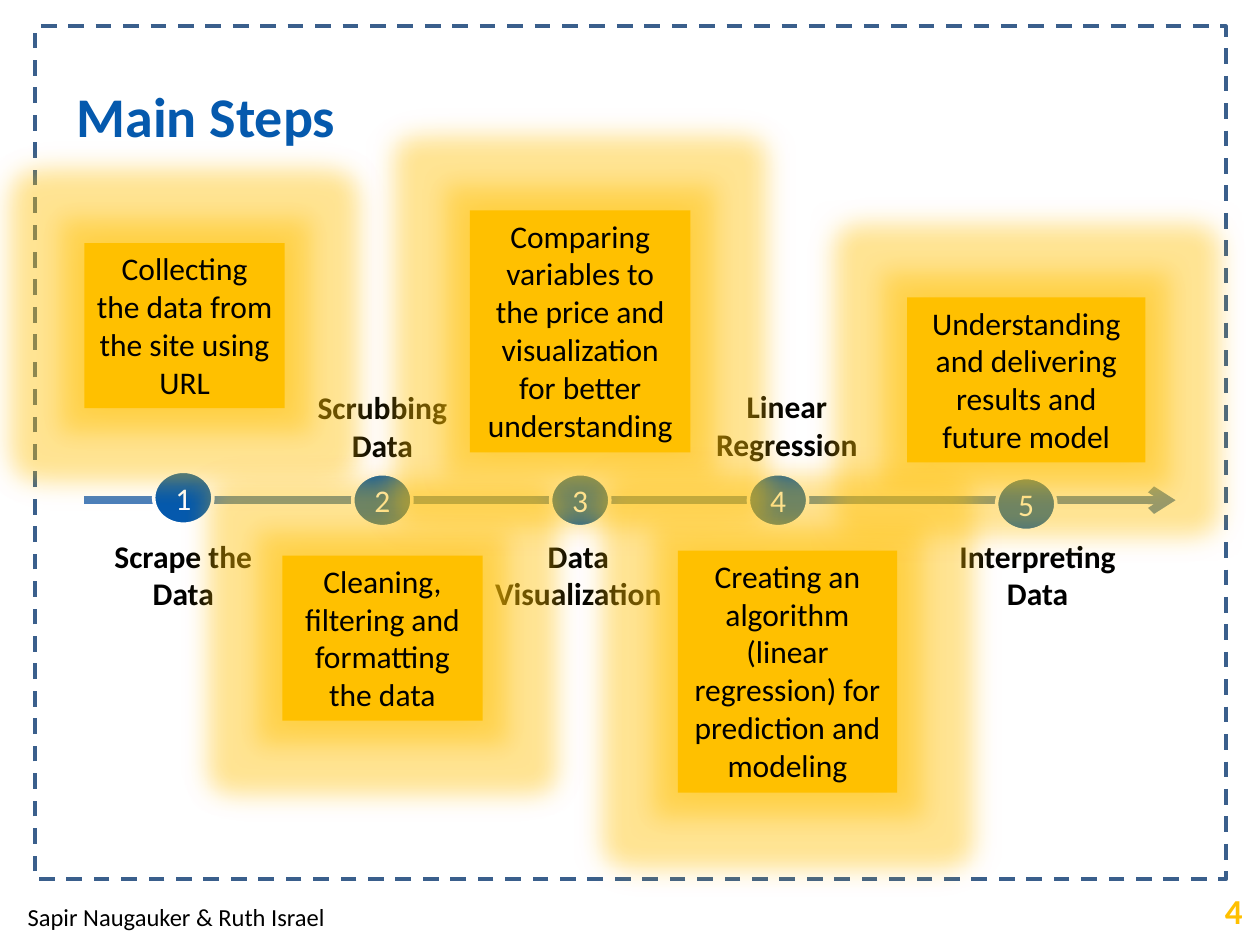
from dataclasses import dataclass
from lxml.etree import SubElement as Sub
from pptx import Presentation
from pptx.dml.color import RGBColor as RGB
from pptx.enum.dml import MSO_LINE as Dash
from pptx.enum.shapes import MSO_CONNECTOR as Conn, MSO_SHAPE as Kind
from pptx.enum.text import MSO_ANCHOR as Anchor, PP_ALIGN as Align
from pptx.oxml.ns import qn
from pptx.util import Inches, Pt


@dataclass(frozen=True)
class Theme:
    font: str = "Calibri"
    blue: str = "0559AD"
    frame: str = "3A5F8C"
    axis: str = "4B7EBC"
    gold: str = "FFC000"
    black: str = "000000"
    white: str = "FFFFFF"
    title: int = 32
    page: int = 20
    body: int = 18
    foot: int = 14


class Deck:
    def __init__(self, theme):
        self.theme = theme
        self.show = Presentation()
        self.show.slide_width = Inches(10)
        self.show.slide_height = Inches(7.5)
        self.slide = self.show.slides.add_slide(self.show.slide_layouts[6])

    def label(self, shape, text, size, color, bold=False, align=Align.CENTER):
        frame = shape.text_frame
        frame.word_wrap = True
        para = frame.paragraphs[0]
        para.text = text
        para.alignment = align
        font = para.font
        font.name, font.size, font.bold = self.theme.font, Pt(size), bold
        font.color.rgb = RGB.from_string(color)

    def text(self, spot, text, size, color, bold=False, align=Align.CENTER):
        box = self.slide.shapes.add_textbox(*map(Inches, spot))
        self.label(box, text, size, color, bold, align)

    def shape(self, kind, spot, fill=None, line=None, width=1):
        item = self.slide.shapes.add_shape(kind, *map(Inches, spot))
        item.shadow.inherit = False
        if fill:
            item.fill.solid()
            item.fill.fore_color.rgb = RGB.from_string(fill)
        else:
            item.fill.background()
        if line:
            item.line.color.rgb = RGB.from_string(line)
            item.line.width = Pt(width)
        else:
            item.line.fill.background()
        return item

    def border(self, spot):
        item = self.shape(Kind.RECTANGLE, spot, None, self.theme.frame, 2.25)
        item.line.dash_style = Dash.DASH

    def arrow(self, left, right, y):
        item = self.slide.shapes.add_connector(
            Conn.STRAIGHT, Inches(left), Inches(y), Inches(right), Inches(y))
        item.line.color.rgb = RGB.from_string(self.theme.axis)
        item.line.width = Pt(4.5)
        props = item.element.spPr
        Sub(props.find(qn("a:ln")), qn("a:tailEnd"), type="arrow")
        Sub(props, qn("a:effectLst"))

    def dot(self, left, top, num):
        item = self.shape(Kind.OVAL, (left, top, 0.47, 0.42),
                          self.theme.blue, self.theme.white, 2)
        self.label(item, str(num), self.theme.body, self.theme.white)
        item.text_frame.vertical_anchor = Anchor.MIDDLE

    def glow(self, item):
        effects = item.element.spPr.find(qn("a:effectLst"))
        for tag, key, size in (("a:glow", "rad", 0.4),
                               ("a:outerShdw", "blurRad", 0.25)):
            node = Sub(effects, qn(tag), {key: str(Inches(size))})
            color = Sub(node, qn("a:srgbClr"), val=self.theme.gold)
            Sub(color, qn("a:alpha"), val="40000")

    def card(self, spot, text):
        item = self.shape(Kind.RECTANGLE, spot, self.theme.gold)
        self.glow(item)
        self.label(item, text, self.theme.body, self.theme.black)
        item.text_frame.vertical_anchor = Anchor.TOP


STEPS = [
    ("Scrape the Data", (0.67, 4.21, 1.57, 0.71), (1.22, 3.74),
     "Collecting the data from the site using URL", (0.67, 1.93, 1.59, 1.31)),
    ("Scrubbing Data", (2.26, 3.03, 1.55, 0.71), (2.8, 3.76),
     "Cleaning, filtering and formatting the data", (2.24, 4.41, 1.59, 1.31)),
    ("Data Visualization", (3.79, 4.21, 1.6, 0.71), (4.37, 3.76),
     "Comparing variables to the price and visualization for better "
     "understanding", (3.73, 1.67, 1.75, 1.92)),
    ("Linear Regression", (5.55, 3.02, 1.39, 0.71), (5.94, 3.76),
     "Creating an algorithm (linear regression) for prediction and modeling",
     (5.38, 4.37, 1.74, 1.92)),
    ("Interpreting Data", (7.45, 4.21, 1.57, 0.71), (7.91, 3.79),
     "Understanding and delivering results and future model",
     (7.2, 2.36, 1.89, 1.31)),
]


def main():
    look = Theme()
    deck = Deck(look)
    deck.border((0.28, 0.21, 9.45, 6.77))
    deck.text((-0.28, 7.11, 3.36, 0.34), "Sapir Naugauker & Ruth Israel",
              look.foot, look.black)
    deck.text((0.51, 0.6, 8.98, 0.79), "Main Steps",
              look.title, look.blue, True, Align.LEFT)
    deck.arrow(0.67, 9.33, 3.97)
    for name, spot, *_ in STEPS:
        deck.text(spot, name, look.body, look.black, True)
    for num, (_, _, place, *_) in enumerate(STEPS, 1):
        deck.dot(*place, num)
    for *_, note, spot in STEPS:
        deck.card(spot, note)
    deck.text((9.41, 7.01, 0.55, 0.44), "4",
              look.page, look.gold, True, Align.RIGHT)
    deck.show.save("out.pptx")


if __name__ == "__main__":
    main()
